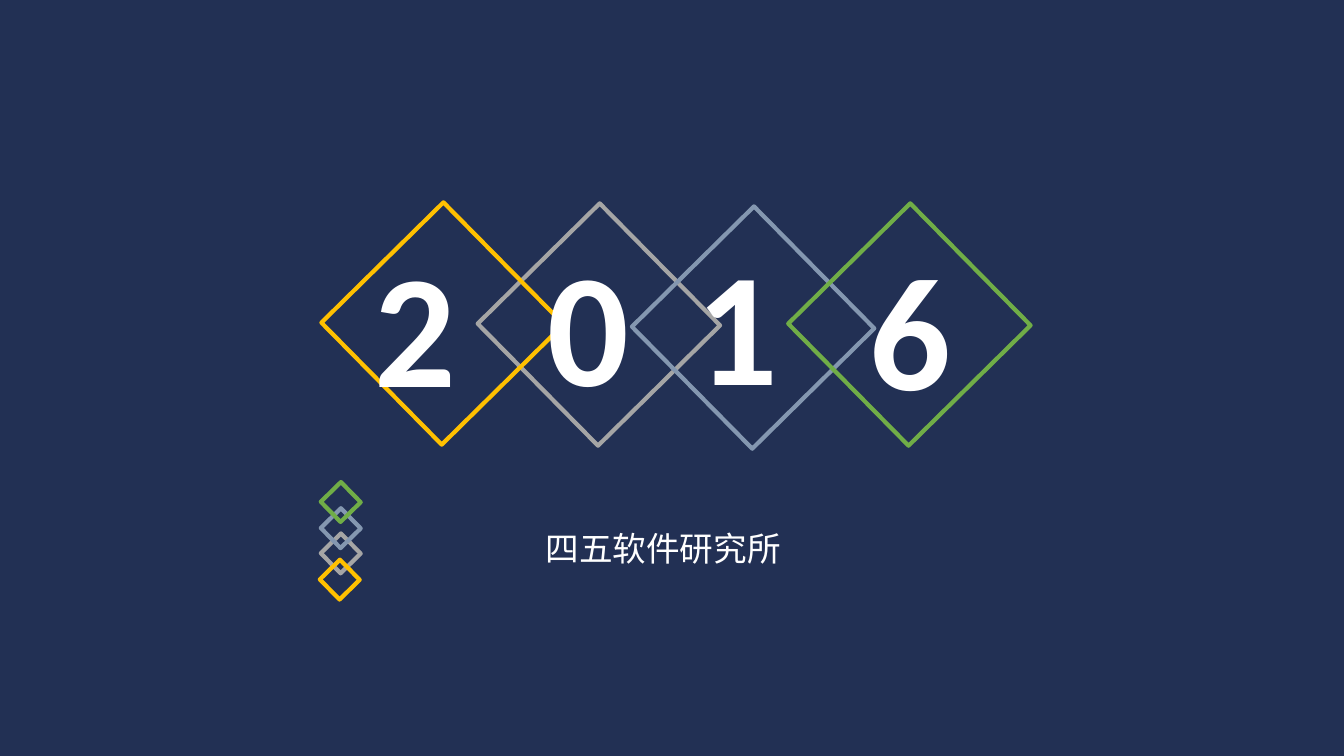
from lxml import etree
from pptx import Presentation
from pptx.dml.color import RGBColor
from pptx.enum.shapes import MSO_SHAPE
from pptx.enum.text import MSO_ANCHOR, MSO_AUTO_SIZE, PP_ALIGN
from pptx.oxml.ns import qn
from pptx.util import Inches, Pt

RECT = MSO_SHAPE.RECTANGLE
TOP = MSO_ANCHOR.TOP
FIXED = MSO_AUTO_SIZE.NONE
LEFT, CENTER = PP_ALIGN.LEFT, PP_ALIGN.CENTER

COLORS = {"navy": "223054", "white": "FFFFFF", "gray": "A5A5A5",
          "blue": "8497B0", "gold": "FFC000", "green": "70AD47"}
NAME = "四五软件研究所"
BACK_DIGIT = ("6", 9.03, 2.23)
DIGITS = [("2", 4.12, 2.2), ("0", 5.84, 2.19), ("1", 7.31, 2.18)]
LARGE = [("gray", 5.09, 2.37), ("blue", 6.62, 2.4),
         ("gold", 3.54, 2.36), ("green", 8.17, 2.37)]
SMALL = [("gray", 3.24, 5.35), ("blue", 3.24, 5.1),
         ("gold", 3.23, 5.61), ("green", 3.24, 4.84)]
DIGIT_W, DIGIT_H = 1.36, 2.04


def color(name):
    return RGBColor.from_string(COLORS[name])


def style(par, size, font, align):
    par.alignment = align
    par.font.size = Pt(size)
    par.font.name = font
    par.font.color.rgb = color("white")


def add_digit(slide, text, mid, top):
    box = slide.shapes.add_textbox(Inches(mid - DIGIT_W / 2), Inches(top),
                                   Inches(DIGIT_W), Inches(DIGIT_H))
    frame = box.text_frame
    frame.word_wrap = True
    frame.text = text
    par = frame.paragraphs[0]
    style(par, 115, "Calibri", CENTER)
    par.font.bold = True


def add_diamonds(slide, items, side, angle):
    group = slide.shapes.add_group_shape()
    for name, left, top in items:
        shape = group.shapes.add_shape(RECT, Inches(left), Inches(top),
                                       Inches(side), Inches(side))
        shape.rotation = angle
        shape.shadow.inherit = False
        shape.fill.background()
        shape.line.color.rgb = color(name)
        shape.line.width = Pt(3)


def add_name(slide):
    title = slide.shapes.title
    title.left, title.top = Inches(5.31), Inches(5.15)
    title.width, title.height = Inches(4.91), Inches(0.55)
    frame = title.text_frame
    frame.text = NAME
    frame.word_wrap = True
    frame.auto_size = FIXED
    frame.vertical_anchor = TOP
    par = frame.paragraphs[0]
    style(par, 24, "Noto Sans CJK SC", LEFT)
    par.line_spacing = 1.1
    props = par.font._element
    east = etree.SubElement(props, qn("a:ea"))
    east.set("typeface", "Noto Sans CJK SC")
    props.find(qn("a:latin")).addnext(east)


def main():
    deck = Presentation()
    deck.slide_width, deck.slide_height = Inches(13.33), Inches(7.5)
    slide = deck.slides.add_slide(deck.slide_layouts[5])
    fill = slide.background.fill
    fill.solid()
    fill.fore_color.rgb = color("navy")
    add_digit(slide, *BACK_DIGIT)
    add_diamonds(slide, LARGE, 1.7, 45.4)
    for digit in DIGITS:
        add_digit(slide, *digit)
    add_diamonds(slide, SMALL, 0.28, 315.6)
    add_name(slide)
    deck.save("out.pptx")


if __name__ == "__main__":
    main()
